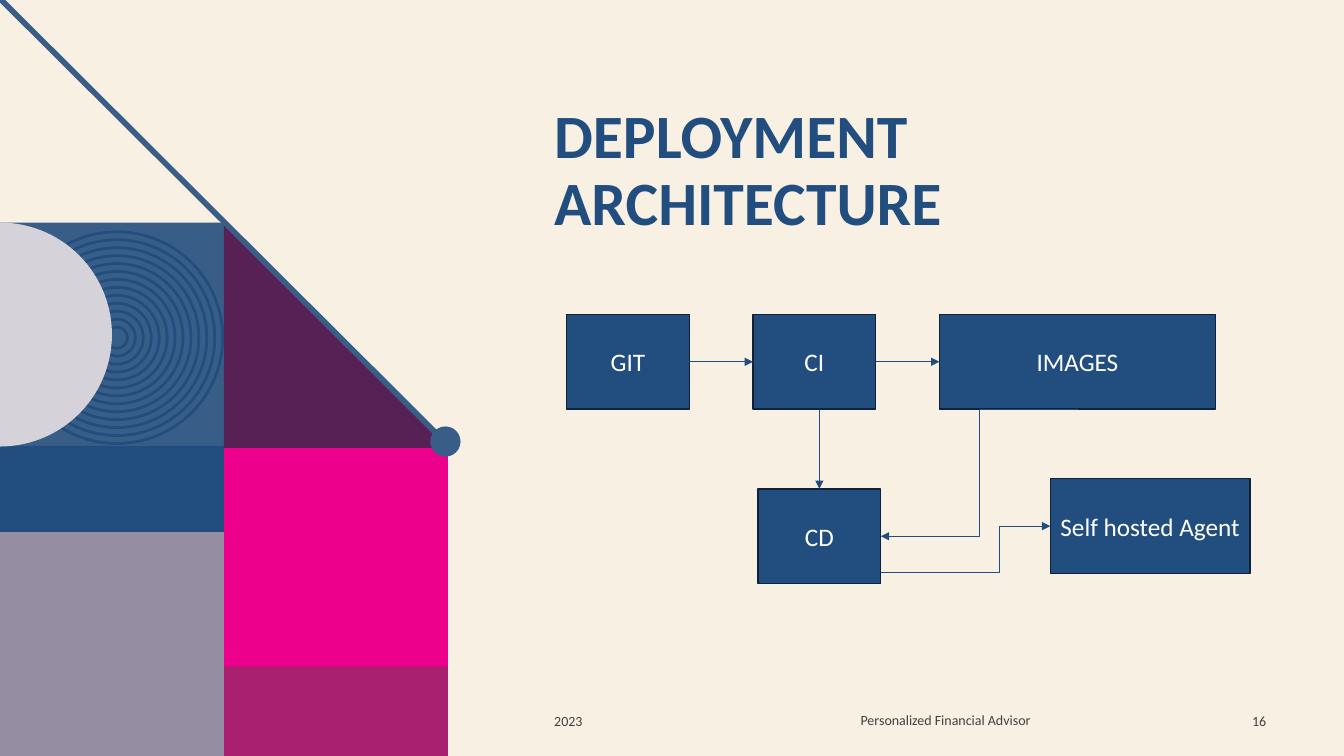
"""Build the deployment architecture slide with its geometric side panel."""
from dataclasses import dataclass
from math import cos, radians, sin
from typing import Optional

from lxml.etree import SubElement
from pptx import Presentation
from pptx.dml.color import RGBColor
from pptx.enum.shapes import MSO_CONNECTOR, MSO_SHAPE
from pptx.enum.text import MSO_ANCHOR, PP_ALIGN
from pptx.oxml.ns import qn
from pptx.util import Pt


@dataclass(frozen=True)
class Theme:
    font: str = "Calibri"
    cream: str = "F8F0E3"
    navy: str = "224E7F"
    steel: str = "385E88"
    plum: str = "582156"
    pink: str = "EC008C"
    berry: str = "AA2070"
    mauve: str = "958EA2"
    mist: str = "D5D2DA"
    edge: str = "0F2238"
    white: str = "FFFFFF"
    grey: str = "404040"
    title: float = 44
    node: float = 18
    footer: float = 10


@dataclass(frozen=True)
class Box:
    x: float
    y: float
    w: float
    h: float


@dataclass(frozen=True)
class Block:
    box: Box
    fill: Optional[str] = None
    line: Optional[str] = None
    weight: float = 1
    kind: MSO_SHAPE = MSO_SHAPE.RECTANGLE


@dataclass(frozen=True)
class Label:
    text: str
    box: Box
    size: float
    color: str
    align: PP_ALIGN = PP_ALIGN.LEFT
    bold: bool = False
    spacing: float = 1


@dataclass(frozen=True)
class Link:
    start: tuple
    end: tuple
    begin_at: Optional[tuple] = None
    end_at: Optional[tuple] = None
    bend: Optional[float] = None


T = Theme()
UNIT = 160
NODE_W, NODE_H, ROW_Y, STEP = 87.8, 67.7, 224.6, 133.2
GIT_X = 404.6
ROW_MID, ROW_END = ROW_Y + NODE_H / 2, ROW_Y + NODE_H
CI_X, IMAGES_X = GIT_X + STEP, GIT_X + 2 * STEP
CD = Box(541.4, 349.2, NODE_W, NODE_H)
CD_MID = CD.x + CD.w / 2
AGENT = Box(750.2, 342, 142.6, NODE_H)

PANEL = (
    Block(Box(0, 159, UNIT, UNIT), T.steel),
    Block(Box(UNIT, 319, UNIT, UNIT), T.pink),
    Block(Box(UNIT, 476, UNIT, 64), T.berry),
    Block(Box(0, 380, UNIT, UNIT), T.mauve),
)
BAND = Block(Box(0, 318.5, UNIT, 61.5), T.navy)
DOT = Block(Box(307.4, 304.6, 21.6, 21.6), T.steel, kind=MSO_SHAPE.OVAL)

NODES = {
    "GIT": Box(GIT_X, ROW_Y, NODE_W, NODE_H),
    "CI": Box(CI_X, ROW_Y, NODE_W, NODE_H),
    "IMAGES": Box(IMAGES_X, ROW_Y, 197.3, NODE_H),
    "CD": CD,
    "Self hosted Agent": AGENT,
}
LINKS = (
    Link((GIT_X + NODE_W, ROW_MID), (CI_X, ROW_MID), ("GIT", 3), ("CI", 1)),
    Link((CI_X + NODE_W, ROW_MID), (IMAGES_X, ROW_MID), ("CI", 3), ("IMAGES", 1)),
    Link((CD_MID, ROW_END), (CD_MID, CD.y), end_at=("CD", 0)),
    Link((770, ROW_END), (CD.x + CD.w, CD.y + CD.h / 2), bend=0.5),
    Link((CD.x + CD.w, 409), (AGENT.x, AGENT.y + AGENT.h / 2), bend=0.7),
)
LABELS = (
    Label("DEPLOYMENT ARCHITECTURE", Box(388.8, 70.6, 499.7, 104.4),
          T.title, T.navy, bold=True, spacing=0.9),
    Label("2023", Box(388.8, 500.4, 86.4, 28.8), T.footer, T.grey),
    Label("Personalized Financial Advisor", Box(585.4, 499.7, 180, 28.8),
          T.footer, T.grey, PP_ALIGN.CENTER),
    Label("16", Box(875.5, 500.4, 36, 28.8), T.footer, T.grey, PP_ALIGN.RIGHT),
)


def rgb(color: str) -> RGBColor:
    return RGBColor.from_string(color)


def paint(sp, fill: Optional[str], line: Optional[str] = None, weight: float = 1) -> None:
    sp.shadow.inherit = False
    if fill:
        sp.fill.solid()
        sp.fill.fore_color.rgb = rgb(fill)
    else:
        sp.fill.background()
    if line:
        sp.line.color.rgb = rgb(line)
        sp.line.width = Pt(weight)
    else:
        sp.line.fill.background()


def write(sp, label: Label) -> None:
    tf = sp.text_frame
    tf.word_wrap = True
    tf.vertical_anchor = MSO_ANCHOR.MIDDLE
    p = tf.paragraphs[0]
    p.alignment = label.align
    p.line_spacing = label.spacing
    r = p.add_run()
    r.text = label.text
    r.font.name, r.font.size, r.font.bold = T.font, Pt(label.size), label.bold
    r.font.color.rgb = rgb(label.color)


def frame(box: Box) -> tuple:
    return Pt(box.x), Pt(box.y), Pt(box.w), Pt(box.h)


def add_block(shapes, block: Block):
    sp = shapes.add_shape(block.kind, *frame(block.box))
    paint(sp, block.fill, block.line, block.weight)
    return sp


def add_polygon(s, points: list, fill: str) -> None:
    (x, y), *rest = [(Pt(px), Pt(py)) for px, py in points]
    builder = s.shapes.build_freeform(x, y)
    builder.add_line_segments(rest, close=True)
    paint(builder.convert_to_shape(), fill)


def add_line(s, link: Link, color: str, weight: float):
    kind = MSO_CONNECTOR.STRAIGHT if link.bend is None else MSO_CONNECTOR.ELBOW
    cx = s.shapes.add_connector(kind, *(Pt(v) for v in link.start + link.end))
    cx.line.color.rgb = rgb(color)
    cx.line.width = Pt(weight)
    SubElement(cx.element.spPr, qn("a:effectLst"))
    return cx


def add_link(s, link: Link, nodes: dict) -> None:
    cx = add_line(s, link, T.navy, 0.5)
    SubElement(cx.line._get_or_add_ln(), qn("a:tailEnd"), type="triangle")
    if link.bend is not None:
        guides = cx.element.spPr.find(qn("a:prstGeom")).find(qn("a:avLst"))
        SubElement(guides, qn("a:gd"), name="adj1", fmla=f"val {round(link.bend * 100000)}")
    if link.begin_at:
        cx.begin_connect(nodes[link.begin_at[0]], link.begin_at[1])
    if link.end_at:
        cx.end_connect(nodes[link.end_at[0]], link.end_at[1])


def draw_panel(s) -> None:
    for block in PANEL:
        add_block(s.shapes, block)
    add_polygon(s, [(UNIT, UNIT), (2 * UNIT, 2 * UNIT), (UNIT, 2 * UNIT)], T.plum)
    rings = s.shapes.add_group_shape().shapes
    for i in range(13):
        d = 151.2 - 11.34 * i
        box = Box(83.5 - d / 2, 241.2 - d / 2, d, d)
        add_block(rings, Block(box, None, T.navy, 2, MSO_SHAPE.OVAL))
    add_block(s.shapes, BAND)
    arc = [radians(a) for a in range(-90, 91, 3)]
    add_polygon(s, [(80 * cos(a), 239 + 80 * sin(a)) for a in arc], T.mist)
    add_line(s, Link((0.5, -0.5), (319.7, 317.5)), T.steel, 4)
    add_block(s.shapes, DOT)


def draw_flow(s) -> None:
    nodes = {}
    for name, box in NODES.items():
        sp = add_block(s.shapes, Block(box, T.navy, T.edge))
        sp.text_frame.margin_left = sp.text_frame.margin_right = Pt(4)
        write(sp, Label(name, box, T.node, T.white, PP_ALIGN.CENTER))
        nodes[name] = sp
    for link in LINKS:
        add_link(s, link, nodes)


def main() -> None:
    prs = Presentation()
    prs.slide_width, prs.slide_height = Pt(960), Pt(540)
    s = prs.slides.add_slide(prs.slide_layouts[6])
    s.background.fill.solid()
    s.background.fill.fore_color.rgb = rgb(T.cream)
    draw_panel(s)
    for label in LABELS:
        write(s.shapes.add_textbox(*frame(label.box)), label)
    draw_flow(s)
    prs.save("out.pptx")


if __name__ == "__main__":
    main()
